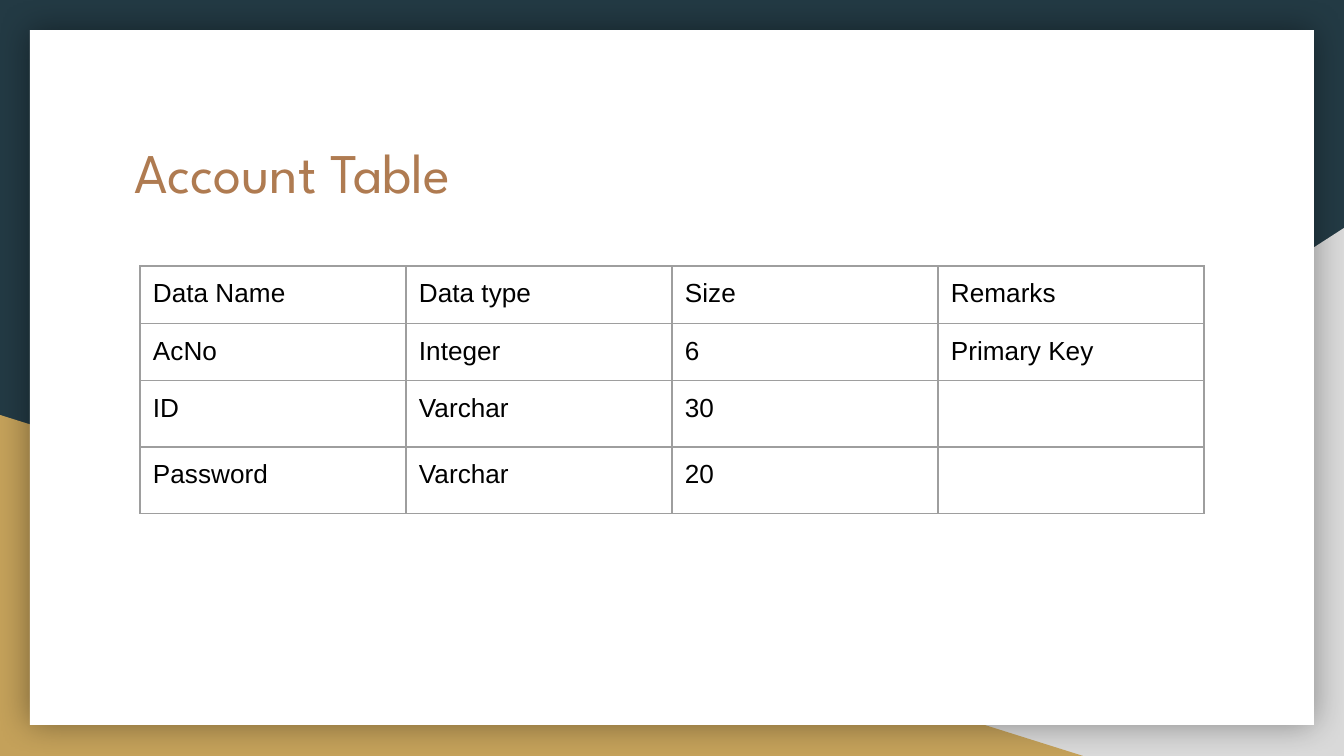
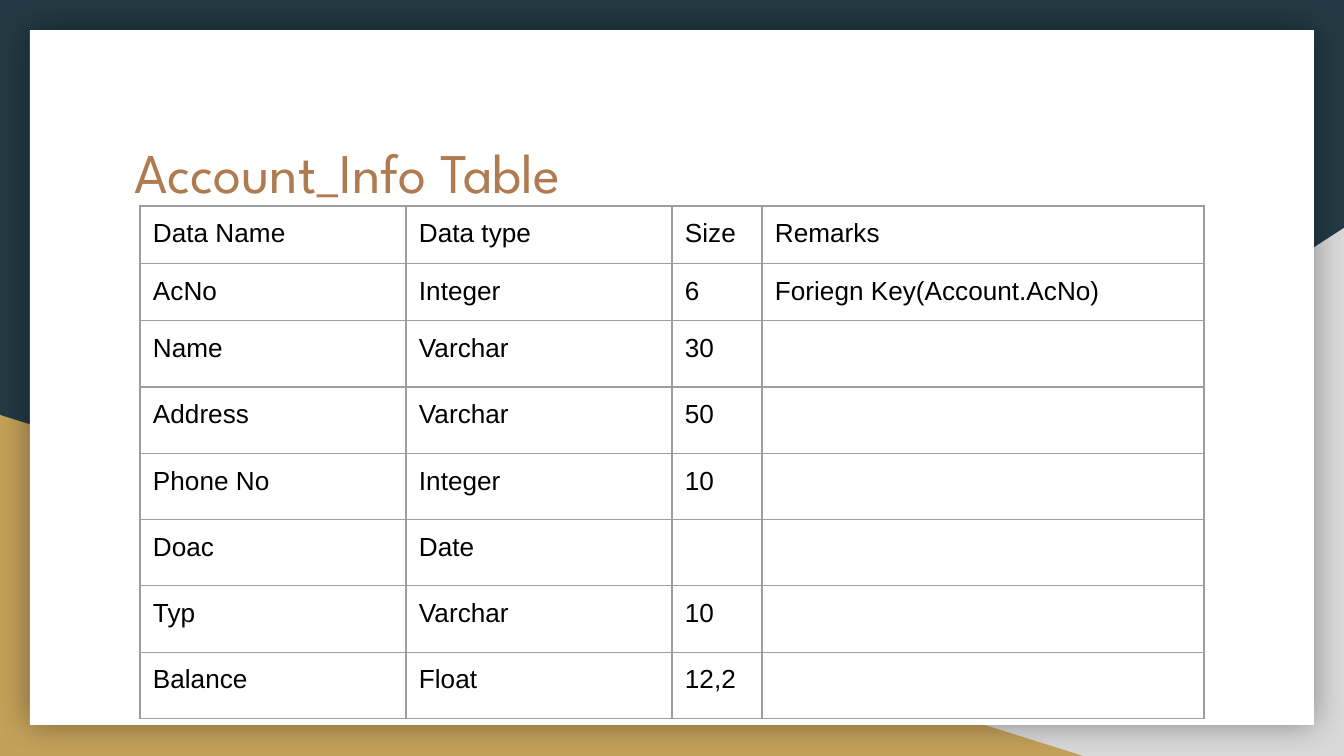
from dataclasses import dataclass

from lxml import etree
from pptx import Presentation
from pptx.dml.color import RGBColor
from pptx.enum.shapes import MSO_SHAPE
from pptx.enum.text import MSO_ANCHOR
from pptx.oxml import parse_xml
from pptx.oxml.ns import nsdecls, qn
from pptx.util import Pt

RECT, TRIANGLE = MSO_SHAPE.RECTANGLE, MSO_SHAPE.RIGHT_TRIANGLE
BOTTOM = MSO_ANCHOR.BOTTOM
BLANK = 6
SCALE = 914400 / 134.4  # EMU per px


@dataclass(frozen=True)
class Theme:
    navy: str = "233A44"
    grey: str = "D9D9D9"
    gold: str = "C4A15A"
    white: str = "FFFFFF"
    bronze: str = "AF7B51"
    black: str = "000000"
    rule: str = "9E9E9E"
    title_font: str = "League Spartan"
    body_font: str = "Arial"
    title_size: int = 30
    body_size: int = 14
    empty_size: int = 18
    rule_width: float = 0.75
    inset: int = 13


T = Theme()
SLIDE = (0, 0, 1344, 756)
TITLE_BOX = (121, 124, 1103, 94)
INSETS = dict.fromkeys(
    ("margin_left", "margin_right", "margin_top", "margin_bottom"), T.inset)

HEADER = ("Data Name", "Data type", "Size", "Remarks")
ACCOUNT = (
    HEADER,
    ("AcNo", "Integer", "6", "Primary Key"),
    ("ID", "Varchar", "30", ""),
    ("Password", "Varchar", "20", ""),
)
ACCOUNT_INFO = (
    HEADER,
    ("AcNo", "Integer", "6", "Foriegn Key(Account.AcNo)"),
    ("Name", "Varchar", "30", ""),
    ("Address", "Varchar", "50", ""),
    ("Phone No", "Integer", "10", ""),
    ("Doac", "Date", "", ""),
    ("Typ", "Varchar", "10", ""),
    ("Balance", "Float", "12,2", ""),
)


def px(n):
    return round(n * SCALE)


def rgb(color):
    return RGBColor.from_string(color)


def set_insets(target):
    for name, value in INSETS.items():
        setattr(target, name, px(value))


def add_run(p, text, font, size, color):
    r = p.add_run()
    r.text = text
    for name, value in {"name": font, "size": Pt(size)}.items():
        setattr(r.font, name, value)
    r.font.color.rgb = rgb(color)


def add_block(slide, kind, box, color):
    sp = slide.shapes.add_shape(kind, *map(px, box))
    sp.shadow.inherit = False
    sp.fill.solid()
    sp.fill.fore_color.rgb = rgb(color)
    sp.line.fill.background()
    return sp


def add_glow(sp):
    """Soft, centred shadow around a shape."""
    effects = sp._element.spPr.find(qn("a:effectLst"))
    shadow = etree.SubElement(effects, qn("a:outerShdw"),
                              blurRad=str(Pt(18)), dist="0", dir="0",
                              algn="ctr", rotWithShape="0")
    color = etree.SubElement(shadow, qn("a:srgbClr"), val=T.black)
    etree.SubElement(color, qn("a:alpha"), val="40000")


def add_backdrop(slide, box):
    """Navy ground, two corner wedges and the white card."""
    x, y, w, h = box
    fill = slide.background.fill
    fill.solid()
    fill.fore_color.rgb = rgb(T.navy)
    wedge = add_block(slide, TRIANGLE, (x + w - 817, y + h - 528, 817, 528),
                      T.grey)
    wedge._element.spPr.find(qn("a:xfrm")).set("flipH", "1")
    add_block(slide, TRIANGLE, (x, y + h - 341, 1083, 341), T.gold)
    add_glow(add_block(slide, RECT, (x + 30, y + 30, w - 60, h - 61), T.white))


def add_title(slide, box, text):
    tf = slide.shapes.add_textbox(*map(px, box)).text_frame
    tf.word_wrap = True
    tf.vertical_anchor = BOTTOM
    set_insets(tf)
    add_run(tf.paragraphs[0], text, T.title_font, T.title_size, T.bronze)


def add_borders(cell):
    tc_pr = cell._tc.get_or_add_tcPr()
    for i, side in enumerate("LRTB"):
        tc_pr.insert(i, parse_xml(
            f'<a:ln{side} {nsdecls("a")} w="{Pt(T.rule_width)}"><a:solidFill>'
            f'<a:srgbClr val="{T.rule}"/></a:solidFill></a:ln{side}>'))


def fill_cell(cell, text):
    set_insets(cell)
    cell.fill.background()
    add_borders(cell)
    p = cell.text_frame.paragraphs[0]
    if text:
        add_run(p, text, T.body_font, T.body_size, T.black)
    else:
        # An empty cell keeps a larger type size, which makes its row taller
        end = etree.SubElement(p._p, qn("a:endParaRPr"),
                               sz=str(T.empty_size * 100))
        etree.SubElement(end, qn("a:latin"), typeface=T.body_font)


def add_field_table(slide, origin, widths, row_height, rows):
    box = (*origin, sum(widths), row_height * len(rows))
    table = slide.shapes.add_table(len(rows), len(widths),
                                   *map(px, box)).table
    table.first_row = table.horz_banding = False
    for column, width in zip(table.columns, widths):
        column.width = px(width)
    for i, row in enumerate(rows):
        table.rows[i].height = px(row_height)
        for j, text in enumerate(row):
            fill_cell(table.cell(i, j), text)


def add_schema_slide(prs, title, *table_args):
    slide = prs.slides.add_slide(prs.slide_layouts[BLANK])
    add_backdrop(slide, SLIDE)
    add_title(slide, TITLE_BOX, title)
    add_field_table(slide, *table_args)


def main():
    prs = Presentation()
    prs.slide_width, prs.slide_height = map(px, SLIDE[2:])
    add_schema_slide(prs, "Account Table", (140, 266), (266,) * 4, 56, ACCOUNT)
    add_schema_slide(prs, "Account_Info Table", (140, 206),
                     (266, 266, 90, 442), 50, ACCOUNT_INFO)
    prs.save("out.pptx")


if __name__ == "__main__":
    main()
